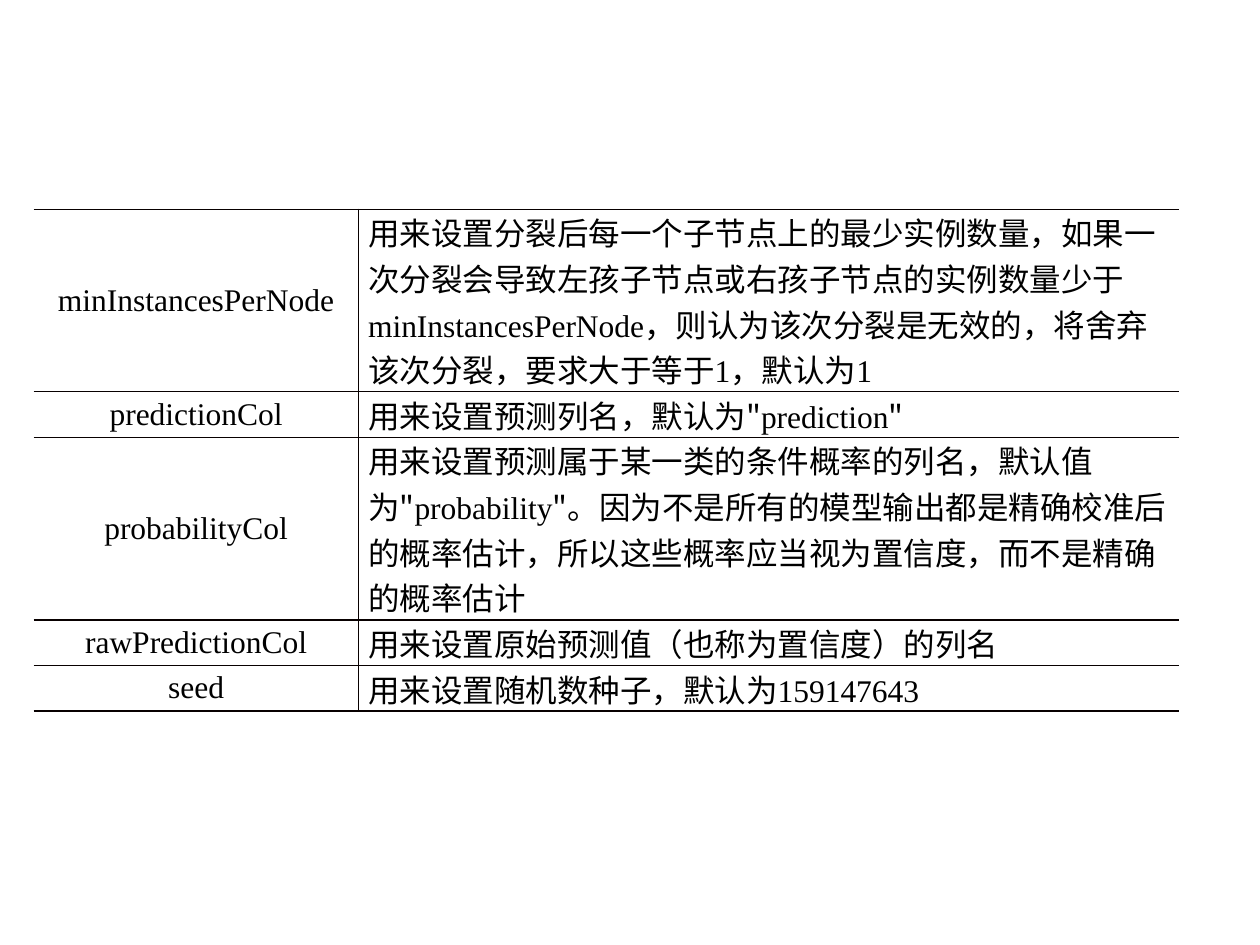
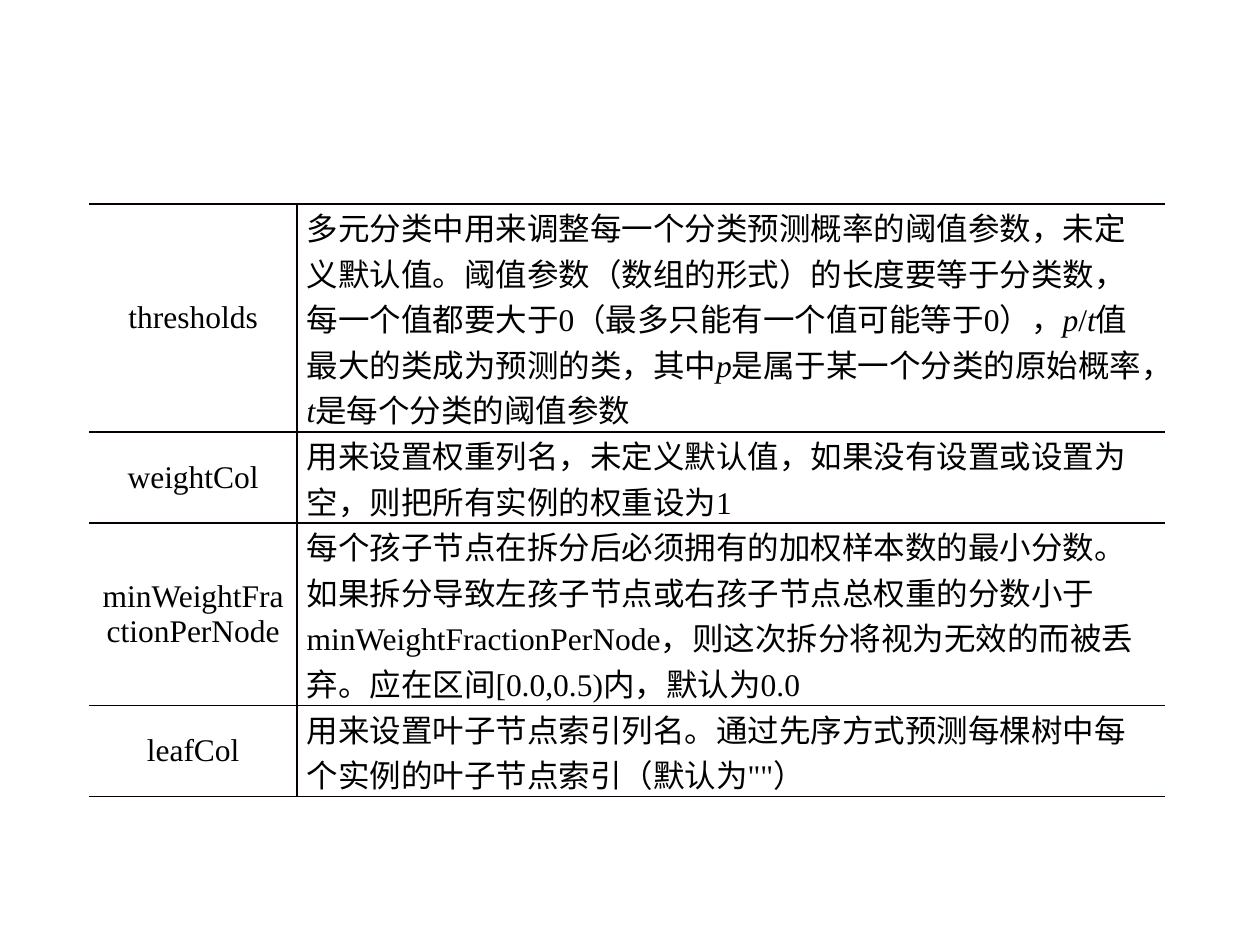
from lxml import etree
from pptx import Presentation
from pptx.dml.color import RGBColor
from pptx.enum.lang import MSO_LANGUAGE_ID
from pptx.enum.text import MSO_ANCHOR, PP_ALIGN
from pptx.oxml.ns import qn
from pptx.util import Cm, Pt

CENTER, LEFT = PP_ALIGN.CENTER, PP_ALIGN.LEFT
MIDDLE = MSO_ANCHOR.MIDDLE
CHINESE = MSO_LANGUAGE_ID.SIMPLIFIED_CHINESE

COLORS = {"text": "000000", "rule": "080000"}
SERIF, SANS = "Times New Roman", "Noto Sans CJK SC"
TEXT_SIZE, RULE_WIDTH = Pt(18), Pt(1)
LINE_HEIGHT, SIDE_MARGIN = 0.91, Cm(0.19)


class ParameterSlides:
    """Holds the shared style and the current slide."""

    def __init__(self):
        self.deck = Presentation()
        self.deck.slide_width, self.deck.slide_height = Cm(25.4), Cm(19.05)
        self.slide = None

    def new_slide(self):
        self.slide = self.deck.slides.add_slide(self.deck.slide_layouts[6])

    def span(self, para, text, font=SERIF, italic=False):
        span = para.add_run()
        span.text = text
        span.font.name, span.font.size, span.font.italic = font, TEXT_SIZE, italic
        span.font.language_id = CHINESE
        span.font.color.rgb = RGBColor.from_string(COLORS["text"])
        east_asian = etree.SubElement(span._r.get_or_add_rPr(), qn("a:ea"))
        east_asian.set("typeface", SANS)

    def borders(self, cell, ruled_sides):
        properties = cell._tc.get_or_add_tcPr()
        for place, side in enumerate("LRTB"):
            line = etree.Element(qn(f"a:ln{side}"))
            if side in ruled_sides:
                line.set("w", str(RULE_WIDTH))
                fill = etree.SubElement(line, qn("a:solidFill"))
                etree.SubElement(fill, qn("a:srgbClr")).set("val", COLORS["rule"])
            else:
                line.set("w", "0")
                etree.SubElement(line, qn("a:noFill"))
            properties.insert(place, line)

    def cell(self, cell, spans, alignment, ruled_sides):
        cell.vertical_anchor = MIDDLE
        cell.margin_left = cell.margin_right = SIDE_MARGIN
        cell.margin_top = cell.margin_bottom = 0
        cell.fill.background()
        self.borders(cell, ruled_sides)
        para = cell.text_frame.paragraphs[0]
        para.alignment = alignment
        for text, *style in spans:
            self.span(para, text, *style)

    def table(self, left, top, widths, parameters):
        total_lines = sum(lines for _, lines, _ in parameters)
        frame = self.slide.shapes.add_table(
            len(parameters), len(widths), Cm(left), Cm(top),
            Cm(sum(widths)), Cm(LINE_HEIGHT * total_lines))
        table = frame.table
        table.first_row = table.horz_banding = False
        for column, width in zip(table.columns, widths):
            column.width = Cm(width)
        for index, (name, lines, description) in enumerate(parameters):
            table.rows[index].height = Cm(LINE_HEIGHT * lines)
            self.cell(table.cell(index, 0), [(name,)], CENTER, "RTB")
            self.cell(table.cell(index, 1), description, LEFT, "LTB")


# Shared pieces of description text
QUOTE = ('"', SANS)
P, T = ("p", SERIF, True), ("t", SERIF, True)

# Each parameter: name, number of text lines, description runs
NODE_AND_COLUMN_PARAMETERS = [
    ("minInstancesPerNode", 4, [
        ("用来设置分裂后每一个子节点上的最少实例数量，如果一次分裂会导致左孩子节点或右孩子节点的"
         "实例数量少于minInstancesPerNode，则认为该次分裂是无效的，将舍弃该次分裂，"
         "要求大于等于1，默认为1",)]),
    ("predictionCol", 1, [
        ("用来设置预测列名，默认为",), QUOTE, ("prediction",), QUOTE]),
    ("probabilityCol", 4, [
        ("用来设置预测属于某一类的条件概率的列名，默认值为",),
        QUOTE, ("probability",), QUOTE,
        ("。因为不是所有的模型输出都是精确校准后的概率估计，所以这些概率应当视为置信度，"
         "而不是精确的概率估计",)]),
    ("rawPredictionCol", 1, [("用来设置原始预测值（也称为置信度）的列名",)]),
    ("seed", 1, [("用来设置随机数种子，默认为159147643",)]),
]

THRESHOLD_AND_WEIGHT_PARAMETERS = [
    ("thresholds", 5, [
        ("多元分类中用来调整每一个分类预测概率的阈值参数，未定义默认值。阈值参数（数组的形式）的"
         "长度要等于分类数，每一个值都要大于0（最多只能有一个值可能等于0），",),
        P, ("/",), T, ("值最大的类成为预测的类，其中",),
        P, ("是属于某一个分类的原始概率，",),
        T, ("是每个分类的阈值参数",)]),
    ("weightCol", 2, [
        ("用来设置权重列名，未定义默认值，如果没有设置或设置为空，则把所有实例的权重设为1",)]),
    ("minWeightFractionPerNode", 4, [
        ("每个孩子节点在拆分后必须拥有的加权样本数的最小分数。如果拆分导致左孩子节点或右孩子节点"
         "总权重的分数小于minWeightFractionPerNode，则这次拆分将视为无效的而被丢弃。"
         "应在区间[0.0,0.5)内，默认为0.0",)]),
    ("leafCol", 2, [
        ("用来设置叶子节点索引列名。通过先序方式预测每棵树中每个实例的叶子节点索引"
         "（默认为\"\"）",)]),
]


def main():
    slides = ParameterSlides()

    # Node and column parameters
    slides.new_slide()
    slides.table(0.68, 4.22, (6.55, 16.54), NODE_AND_COLUMN_PARAMETERS)

    # Threshold and weight parameters
    slides.new_slide()
    slides.table(1.8, 4.11, (4.19, 17.5), THRESHOLD_AND_WEIGHT_PARAMETERS)

    slides.deck.save("out.pptx")


if __name__ == "__main__":
    main()
